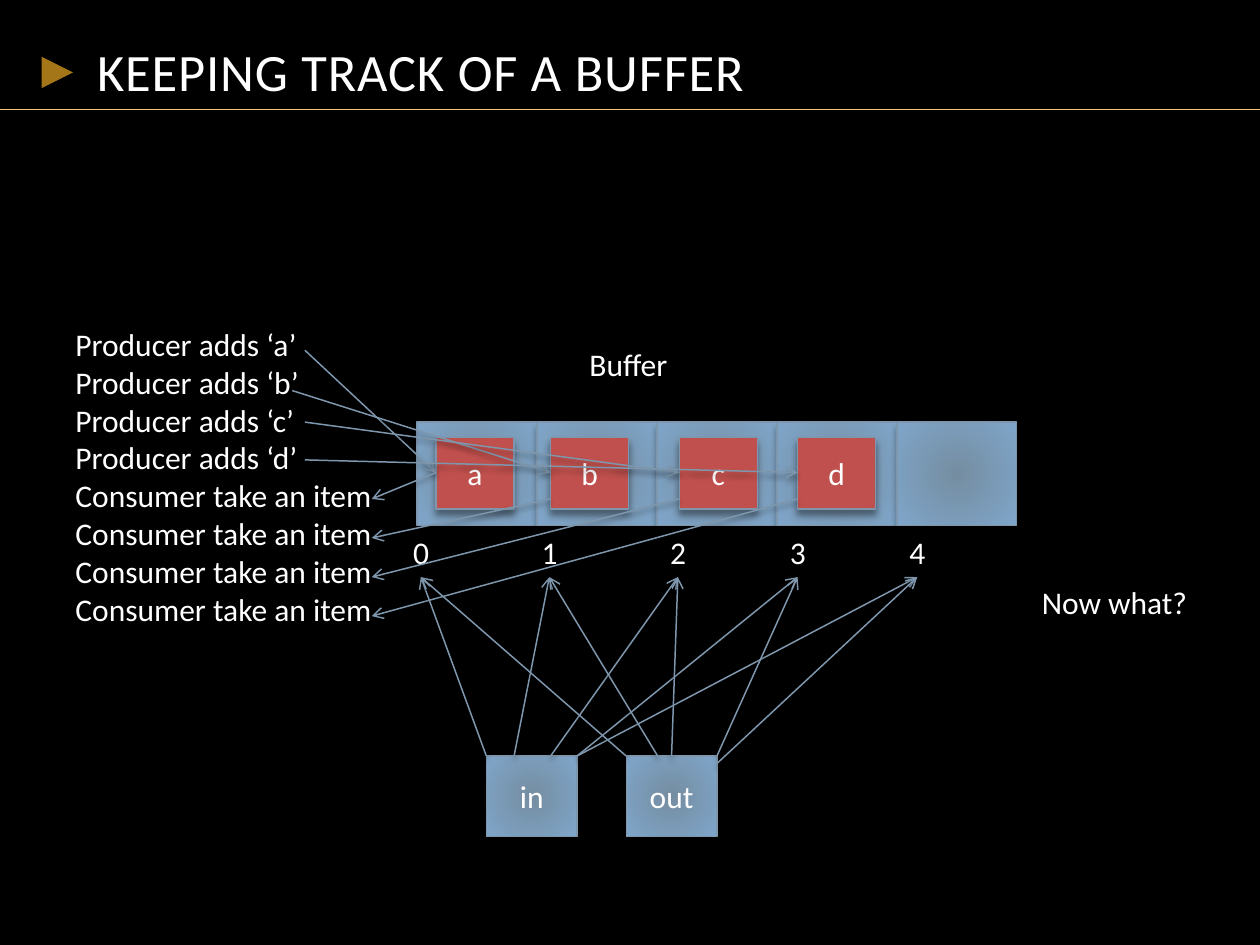
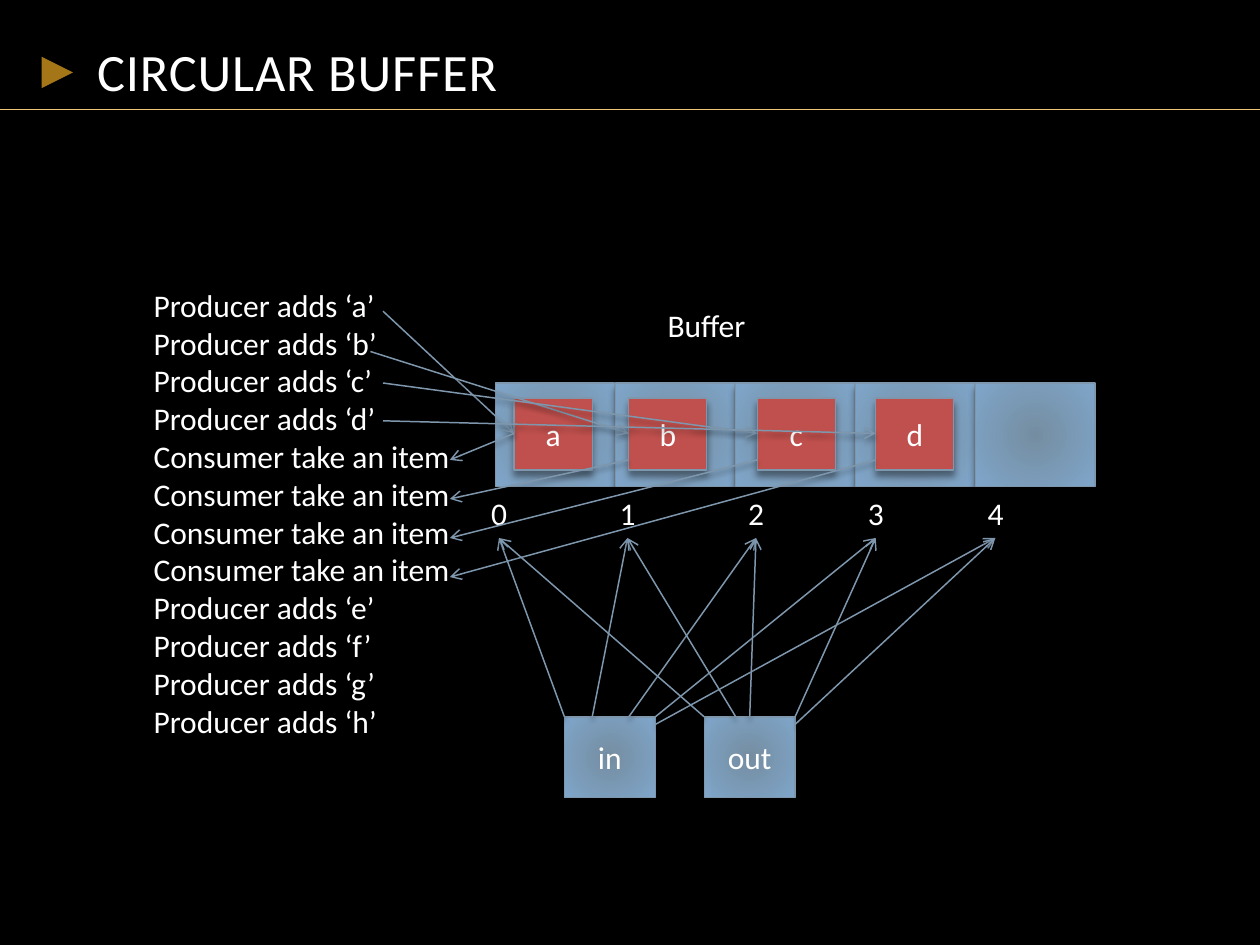
from dataclasses import dataclass

from lxml import etree
from pptx import Presentation
from pptx.dml.color import RGBColor
from pptx.enum.shapes import MSO_CONNECTOR, MSO_SHAPE
from pptx.enum.text import MSO_ANCHOR, MSO_AUTO_SIZE, PP_ALIGN
from pptx.oxml import parse_xml
from pptx.oxml.ns import nsdecls, qn
from pptx.util import Inches, Pt

STRAIGHT = MSO_CONNECTOR.STRAIGHT
RECT = MSO_SHAPE.RECTANGLE
TRIANGLE = MSO_SHAPE.ISOSCELES_TRIANGLE
MIDDLE, BOTTOM = MSO_ANCHOR.MIDDLE, MSO_ANCHOR.BOTTOM
LEFT, CENTER = PP_ALIGN.LEFT, PP_ALIGN.CENTER
FIT_SHAPE = MSO_AUTO_SIZE.SHAPE_TO_FIT_TEXT


@dataclass(frozen=True)
class Theme:
    font: str = "Calibri"
    title_size: float = 30
    text_size: float = 18
    background: RGBColor = RGBColor(0x00, 0x00, 0x00)
    text: RGBColor = RGBColor(0xFF, 0xFF, 0xFF)
    rule: RGBColor = RGBColor(0xEC, 0xC5, 0x77)
    marker: RGBColor = RGBColor(0xA5, 0x76, 0x17)
    outline: RGBColor = RGBColor(0x7E, 0x97, 0xAD)
    item: RGBColor = RGBColor(0xC0, 0x50, 0x4D)
    cell_inner: str = "758DA1"
    cell_outer: str = "7FA6CA"


theme = Theme()


def format_text(tf, size, align):
    for p in tf.paragraphs:
        p.alignment = align
        for r in p.runs:
            r.font.name = theme.font
            r.font.size = Pt(size)
            r.font.color.rgb = theme.text


def outline_with_shadow(shape, width, blur, distance):
    shape.line.color.rgb = theme.outline
    shape.line.width = Pt(width)
    shape.element.spPr.append(parse_xml(
        f'<a:effectLst {nsdecls("a")}><a:outerShdw blurRad="{Pt(blur)}" '
        f'dist="{Pt(distance)}" dir="5400000" rotWithShape="0">'
        '<a:srgbClr val="000000"><a:alpha val="40000"/></a:srgbClr>'
        '</a:outerShdw></a:effectLst>'))


# Slide contents; the second diagram is the first one moved by (dx, dy)
steps = [f"Producer adds ‘{c}’" for c in "abcd"] + ["Consumer take an item"] * 4
more_steps = [f"Producer adds ‘{c}’" for c in "efgh"]
slides = [
    # title, dx, dy, steps, start of the arrow from "in" to 4, remark
    ("KEEPING TRACK OF A BUFFER", 0, 0, steps, 6, "Now what?"),
    ("CIRCULAR BUFFER", 0.62, -0.31, steps + more_steps, 6.06, None),
]

# Buffer geometry
cell_pitch = 3.81 / 4
item_xs = [3.46, 4.37, 5.39, 6.33]
index_xs = [3.18, 4.2, 5.22, 6.17, 7.12]
tip_xs = [x + 0.16 for x in index_xs]
item_y, tip_y, register_y = 3.75, 4.58, 6

boxes = [("", 3.31 + i * cell_pitch, 3.35, 0.95, 0.82) for i in range(5)]
boxes += [(c, x, 3.47, 0.62, 0.57) for c, x in zip("abcd", item_xs)]
boxes += [("in", 3.86, register_y, 0.72, 0.64), ("out", 4.97, register_y, 0.72, 0.64)]

# Arrows: producer steps to items, then items to consumer steps
producer_ends = [(2.42, 2.78), (2.32, 3.1), (2.42, 3.35), (2.42, 3.65)]
item_arrows = [(x, y, item_x, item_y)
               for (x, y), item_x in zip(producer_ends, item_xs)]
item_arrows += [(x, item_y if i == 0 else 3.96, 2.95, 3.96 + 0.31 * i)
                for i, x in enumerate(item_xs)]
in_xs = [3.86, 4.08, 4.37, 4.58, 4.58]
out_xs = [4.97, 5.22, 5.33, 5.69, 5.69]

prs = Presentation()
prs.slide_width, prs.slide_height = Inches(10), Inches(7.5)

# Shared background and title position
bg = prs.slide_master.background.fill
bg.solid()
bg.fore_color.rgb = theme.background
layout = prs.slide_layouts[5]
ph = layout.placeholders[0]
ph.left, ph.top, ph.width, ph.height = map(Inches, (0.67, 0.17, 8.67, 0.69))

for title, dx, dy, step_lines, last_in_y, remark in slides:
    s = prs.slides.add_slide(layout)

    # Rule and marker beside the title
    rule = s.shapes.add_connector(STRAIGHT, 0, Inches(0.87), Inches(10), Inches(0.87))
    rule.line.color.rgb = theme.rule
    rule.line.width = Pt(0.75)
    etree.SubElement(rule.element.spPr, qn("a:effectLst"))
    marker = s.shapes.add_shape(TRIANGLE, *map(Inches, (0.33, 0.45, 0.25, 0.25)))
    marker.rotation = 90
    marker.shadow.inherit = False
    marker.fill.solid()
    marker.fill.fore_color.rgb = theme.marker
    marker.line.fill.background()

    # Title
    tf = s.shapes.title.text_frame
    tf.text = title
    tf.vertical_anchor = BOTTOM
    format_text(tf, theme.title_size, LEFT)
    tf.paragraphs[0].runs[0].font._element.set("spc", "50")

    # Buffer cells, items and the in/out registers
    for text, x, y, w, h in boxes:
        sp = s.shapes.add_shape(RECT, *map(Inches, (x + dx, y + dy, w, h)))
        if text in item_xs or len(text) == 1:
            sp.fill.solid()
            sp.fill.fore_color.rgb = theme.item
        else:
            sp.element.spPr.insert(2, parse_xml(
                f'<a:gradFill {nsdecls("a")} rotWithShape="1"><a:gsLst>'
                f'<a:gs pos="0"><a:srgbClr val="{theme.cell_inner}"/></a:gs>'
                f'<a:gs pos="100000"><a:srgbClr val="{theme.cell_outer}"/></a:gs>'
                '</a:gsLst><a:path path="circle"><a:fillToRect l="100000" '
                't="100000" r="100000" b="100000"/></a:path></a:gradFill>'))
        outline_with_shadow(sp, 0.75, 4, 3.4)
        if text:
            sp.text_frame.text = text
            sp.text_frame.vertical_anchor = MIDDLE
            format_text(sp.text_frame, theme.text_size, CENTER)

    # Steps, heading, cell numbers and remark
    labels = [("\n".join(step_lines), 0.5, 2.53, 2.59, 0.1 + 0.33 * len(step_lines)),
              ("Buffer", 4.58, 2.69, 0.83, 0.4)]
    labels[0] = labels[0][:4] + (0.4 + 0.3 * (len(step_lines) - 1) + 0.03 * len(step_lines) / 8,)
    labels += [(str(i), x, 4.18, 0.33, 0.4) for i, x in enumerate(index_xs)]
    if remark:
        labels.append((remark, 8.17, 4.58, 1.37, 0.4))
    for text, x, y, w, h in labels:
        tb = s.shapes.add_textbox(*map(Inches, (x + dx, y + dy, w, h)))
        tf = tb.text_frame
        tf.text = text
        tf.word_wrap = False
        tf.auto_size = FIT_SHAPE
        format_text(tf, theme.text_size, LEFT)

    # Arrows
    in_ys = [register_y] * 4 + [last_in_y]
    out_ys = [register_y] * 4 + [6.06]
    arrows = item_arrows + [(x, y, tip_x, tip_y)
                            for xs, ys in ((in_xs, in_ys), (out_xs, out_ys))
                            for x, y, tip_x in zip(xs, ys, tip_xs)]
    for x1, y1, x2, y2 in arrows:
        arrow = s.shapes.add_connector(
            STRAIGHT, *map(Inches, (x1 + dx, y1 + dy, x2 + dx, y2 + dy)))
        outline_with_shadow(arrow, 0.85, 3, 2)
        etree.SubElement(arrow.element.spPr.find(qn("a:ln")), qn("a:tailEnd"), type="arrow")

prs.save("out.pptx")
